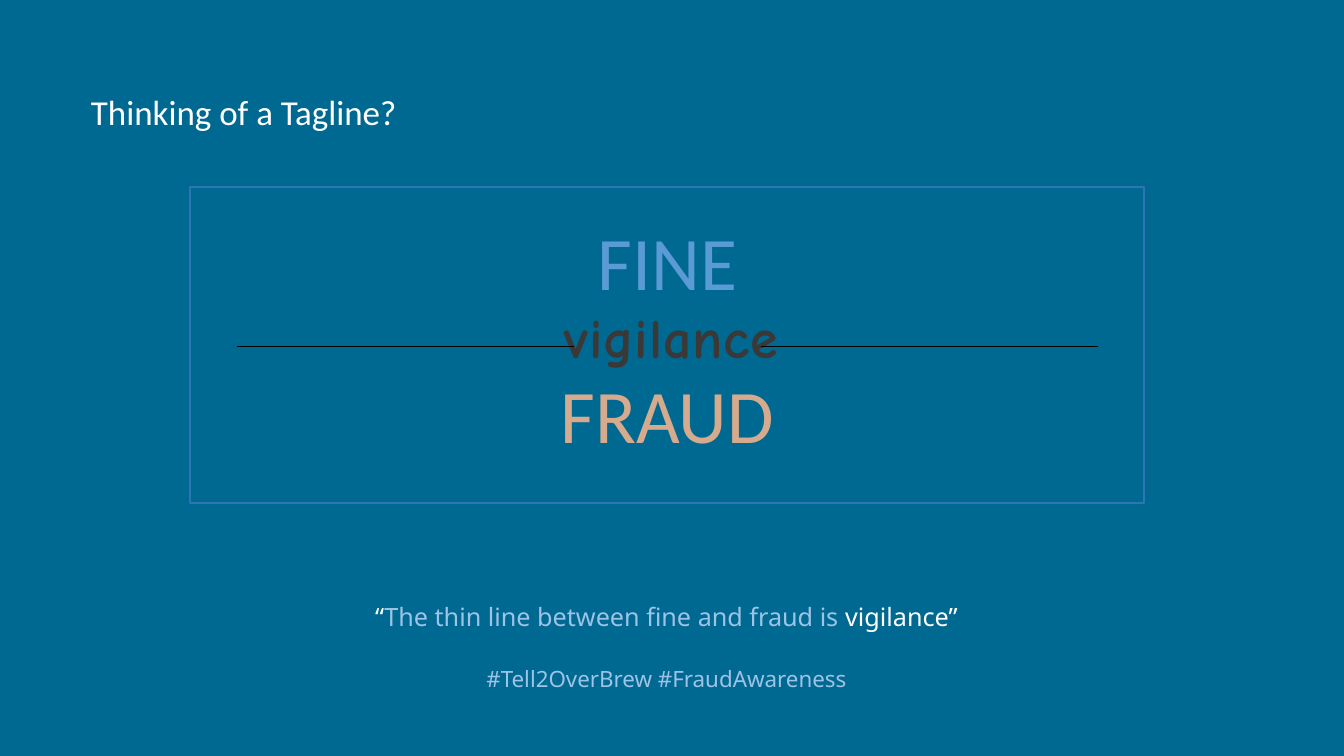
"""Builds the tagline slide on fine, fraud and vigilance."""
from dataclasses import dataclass

from pptx import Presentation
from pptx.dml.color import RGBColor
from pptx.enum.shapes import MSO_CONNECTOR as Connector, MSO_SHAPE as Preset
from pptx.enum.text import MSO_ANCHOR as Anchor, MSO_AUTO_SIZE as AutoSize, PP_ALIGN as Align
from pptx.oxml.ns import qn
from pptx.slide import Slide
from pptx.util import Emu, Pt
from lxml.etree import SubElement

TEAL = RGBColor(0x00, 0x69, 0x91)
FRAME_BLUE = RGBColor(0x2E, 0x75, 0xB6)
FINE_BLUE = RGBColor(0x5B, 0x9B, 0xD5)
FRAUD_TAN = RGBColor(0xD6, 0xAA, 0x8D)
CHARCOAL = RGBColor(0x3B, 0x38, 0x38)
PALE_BLUE = RGBColor(0x9D, 0xC3, 0xE6)
WHITE = RGBColor(0xFF, 0xFF, 0xFF)
BLACK = RGBColor(0x00, 0x00, 0x00)


def px(length: int) -> Emu:
    """Converts px to EMU."""
    return Emu(round(length * 914400 / 100.8))


@dataclass(frozen=True)
class Span:
    """A stretch of text in one colour."""
    text: str
    color: RGBColor


@dataclass(frozen=True)
class Line:
    """A paragraph with one font."""
    spans: tuple[Span, ...]
    size: int
    font: str
    bold: bool = False
    tracking: int = 0
    before: float = 0
    spacing: float = 1.0
    align: Align = Align.CENTER


@dataclass(frozen=True)
class Label:
    """A text box with its place in px."""
    left: int
    top: int
    width: int
    height: int
    lines: tuple[Line, ...]
    wrap: bool = True
    grow: bool = True
    anchor: Anchor = Anchor.TOP


LABELS = (
    Label(587, 210, 161, 102, (Line((Span("FINE", FINE_BLUE),), 54, "Calibri"),), wrap=False),
    Label(549, 363, 236, 102, (Line((Span("FRAUD", FRAUD_TAN),), 54, "Calibri"),), wrap=False),
    Label(175, 298, 993, 78, (
        Line((Span("vigilance", CHARCOAL),), 40, "Comic Neue", bold=True, tracking=50),)),
    Label(81, 90, 592, 48, (
        Line((Span("Thinking of a Tagline?", WHITE),), 25, "Calibri", spacing=0.9,
             align=Align.LEFT),), grow=False, anchor=Anchor.MIDDLE),
    Label(143, 596, 1047, 102, (
        Line((Span("“", WHITE),
              Span("The thin line between fine and fraud is ", PALE_BLUE),
              Span("vigilance”", WHITE)), 18, "Noto Sans"),
        Line((Span("#Tell2OverBrew #FraudAwareness", PALE_BLUE),), 16, "Noto Sans",
             before=24.5))),
)
RULE_STARTS = (237, 761)
RULE_WIDTH = 337
RULE_Y = 346


def add_frame(page: Slide) -> None:
    """Draws the thin frame around the wordplay."""
    frame = page.shapes.add_shape(Preset.RECTANGLE, px(190), px(187), px(954), px(316))
    frame.shadow.inherit = False
    frame.fill.background()
    frame.line.color.rgb = FRAME_BLUE
    frame.line.width = Pt(1)


def add_label(page: Slide, label: Label) -> None:
    """Draws one text box."""
    box = page.shapes.add_textbox(px(label.left), px(label.top), px(label.width), px(label.height))
    frame = box.text_frame
    frame.word_wrap = label.wrap
    frame.auto_size = AutoSize.SHAPE_TO_FIT_TEXT if label.grow else AutoSize.NONE
    frame.vertical_anchor = label.anchor
    for index, line in enumerate(label.lines):
        para = frame.add_paragraph() if index else frame.paragraphs[0]
        para.alignment = line.align
        para.line_spacing = line.spacing
        para.space_before = Pt(line.before)
        para.font.size = Pt(line.size)
        para.font.name = line.font
        para.font.bold = line.bold
        for span in line.spans:
            run = para.add_run()
            run.text = span.text
            run.font.color.rgb = span.color
            if line.tracking:
                run._r.get_or_add_rPr().set("spc", str(line.tracking))


def add_rule(page: Slide, left: int) -> None:
    """Draws one of the thin lines beside the middle word."""
    rule = page.shapes.add_connector(
        Connector.STRAIGHT, px(left), px(RULE_Y), px(left + RULE_WIDTH), px(RULE_Y))
    rule.line.color.rgb = BLACK
    rule.line.width = Pt(0.5)
    SubElement(rule._element.spPr, qn("a:effectLst"))


def main() -> None:
    """Builds and saves the deck."""
    deck = Presentation()
    deck.slide_width, deck.slide_height = px(1344), px(756)
    page = deck.slides.add_slide(deck.slide_layouts[6])
    page.background.fill.solid()
    page.background.fill.fore_color.rgb = TEAL
    add_frame(page)
    for label in LABELS:
        add_label(page, label)
    for left in RULE_STARTS:
        add_rule(page, left)
    deck.save("out.pptx")


if __name__ == "__main__":
    main()
